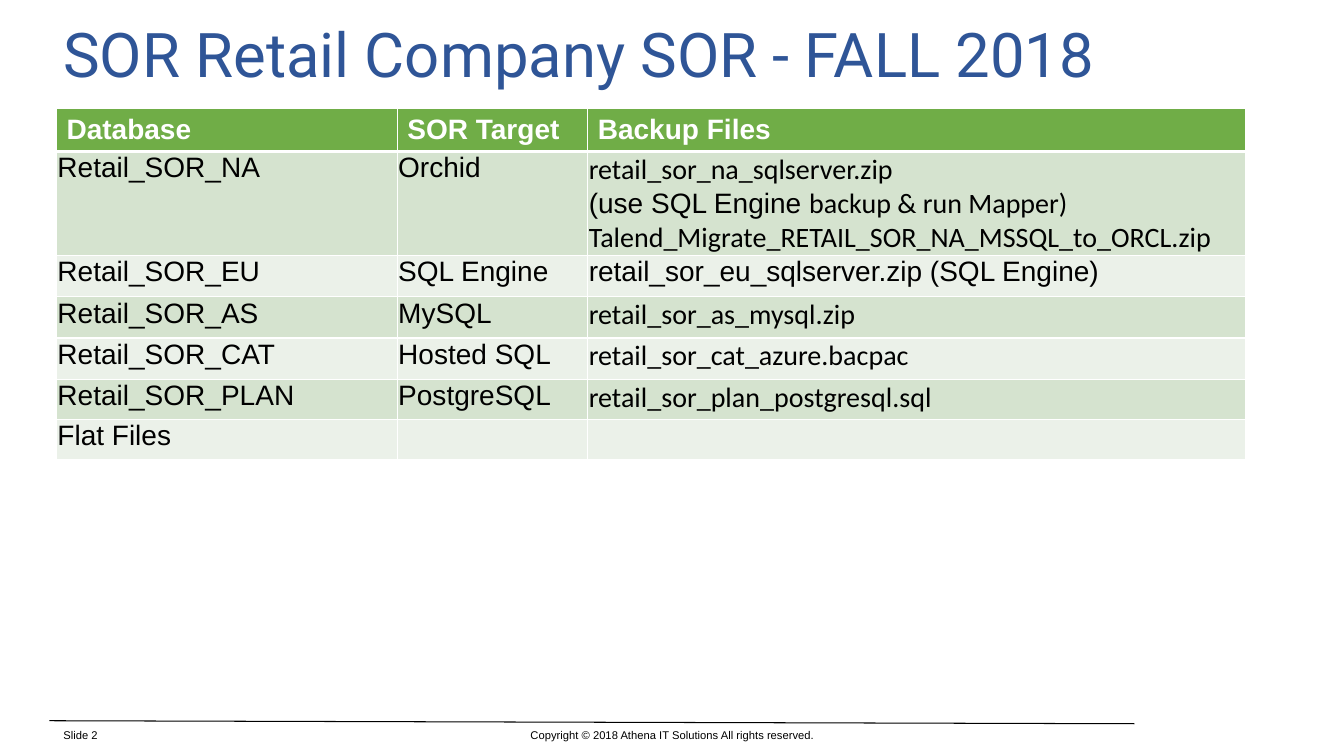
import pptx
import pptx.dml.color
import pptx.enum.shapes
import pptx.enum.text
import pptx.util
from lxml import etree
from pptx.oxml.ns import qn
from pptx.util import Inches

ALIGN = pptx.enum.text.PP_ALIGN
MIDDLE = pptx.enum.text.MSO_ANCHOR.MIDDLE


def color(hex_value):
    return pptx.dml.color.RGBColor.from_string(hex_value)


def write(para, spans, size, hex_value, bold=False):
    """Fill a paragraph with (text, font name) spans."""
    para.font.size = pptx.util.Pt(size)
    for text, font_name in spans:
        span = para.add_run()
        span.text = text
        look = {"name": font_name, "size": pptx.util.Pt(size), "bold": bold}
        for key, value in look.items():
            setattr(span.font, key, value)
        span.font.color.rgb = color(hex_value)


deck = pptx.Presentation()
deck.slide_width, deck.slide_height = Inches(13.33), Inches(7.5)
page = deck.slides.add_slide(deck.slide_layouts[6])

# Footer rule
rule = page.shapes.add_connector(
    pptx.enum.shapes.MSO_CONNECTOR.STRAIGHT,
    Inches(0.49), Inches(7.15), Inches(11.25), Inches(7.18))
rule.line.color.rgb = color("000000")
rule.line.width = pptx.util.Pt(0.75)
etree.SubElement(rule._element.spPr, qn("a:effectLst"))

# Title and footer texts; an em space parts the two footer sentences
captions = [
    ((0.53, 0.14, 12.38, 0.76), ALIGN.LEFT, 44, "2F5597", "Roboto",
     "SOR Retail Company SOR - FALL 2018"),
    ((4.42, 7.18, 4.5, 0.22), ALIGN.CENTER, 8, "000000", "Arial",
     "Copyright © 2018 Athena IT Solutions All rights reserved."),
    ((0.53, 7.18, 1.71, 0.22), ALIGN.LEFT, 8, "000000", "Arial", "Slide 2"),
]
for place, align, size, hex_value, font_name, text in captions:
    frame = page.shapes.add_textbox(*map(Inches, place)).text_frame
    frame.word_wrap = True
    frame.vertical_anchor = MIDDLE
    para = frame.paragraphs[0]
    para.alignment = align
    write(para, [(text, font_name)], size, hex_value)

# Table: each cell is a list of paragraphs, each a list of spans
header = ["Database", "SOR Target", "Backup Files"]
databases = [
    ("Retail_SOR_NA", "Orchid", [
        [("retail_sor_na_sqlserver.zip", "Calibri")],
        [("(use SQL Engine ", "Arial"), ("backup & run Mapper)", "Calibri")],
        [("Talend_Migrate_RETAIL_SOR_NA_MSSQL_to_ORCL.zip", "Calibri")]]),
    ("Retail_SOR_EU", "SQL Engine",
     [[("retail_sor_eu_sqlserver.zip (SQL Engine)", "Arial")]]),
    ("Retail_SOR_AS", "MySQL", [[("retail_sor_as_mysql.zip", "Calibri")]]),
    ("Retail_SOR_CAT", "Hosted SQL",
     [[("retail_sor_cat_azure.bacpac", "Calibri")]]),
    ("Retail_SOR_PLAN", "PostgreSQL",
     [[("retail_sor_plan_postgresql.sql", "Calibri")]]),
    ("Flat Files", "", [[]]),
]
rows = [[[[(text, "Arial")]] for text in header]]
for database, target, backups in databases:
    rows.append([[[(database, "Arial")]],
                 [[(target, "Arial")] if target else []], backups])

widths = [3.38, 1.89, 6.52]
heights = [0.41, 1.03] + [0.41] * 3 + [0.4] * 2
table = page.shapes.add_table(
    len(rows), len(widths), Inches(0.56), Inches(1.08),
    Inches(sum(widths)), Inches(sum(heights))).table
table.horz_banding = False
for column, width in zip(table.columns, widths):
    column.width = Inches(width)
for row, height in zip(table.rows, heights):
    row.height = Inches(height)

for r, cells in enumerate(rows):
    is_header = r == 0
    fill = "70AD47" if is_header else ("D5E3CF" if r % 2 else "EBF1E9")
    margins = (0.1, 0.1, 0.05, 0.04) if is_header else (0.01, 0.01, 0.01, 0)
    borders = {"lnL": 1, "lnR": 1, "lnT": 3 if r == 1 else 1,
               "lnB": 3 if is_header else 1}
    for c, paragraphs in enumerate(cells):
        cell = table.cell(r, c)
        for side, margin in zip(("left", "right", "top", "bottom"), margins):
            setattr(cell, "margin_" + side, Inches(margin))
        properties = cell._tc.get_or_add_tcPr()
        for tag, width in borders.items():
            edge = etree.SubElement(properties, qn("a:" + tag),
                                    w=str(pptx.util.Pt(width)))
            paint = etree.SubElement(edge, qn("a:solidFill"))
            etree.SubElement(paint, qn("a:srgbClr"), val="FFFFFF")
        cell.fill.solid()
        cell.fill.fore_color.rgb = color(fill)
        frame = cell.text_frame
        for i, spans in enumerate(paragraphs):
            para = frame.add_paragraph() if i else frame.paragraphs[0]
            write(para, spans, 20, "FFFFFF" if is_header else "000000",
                  is_header)

deck.save("out.pptx")
